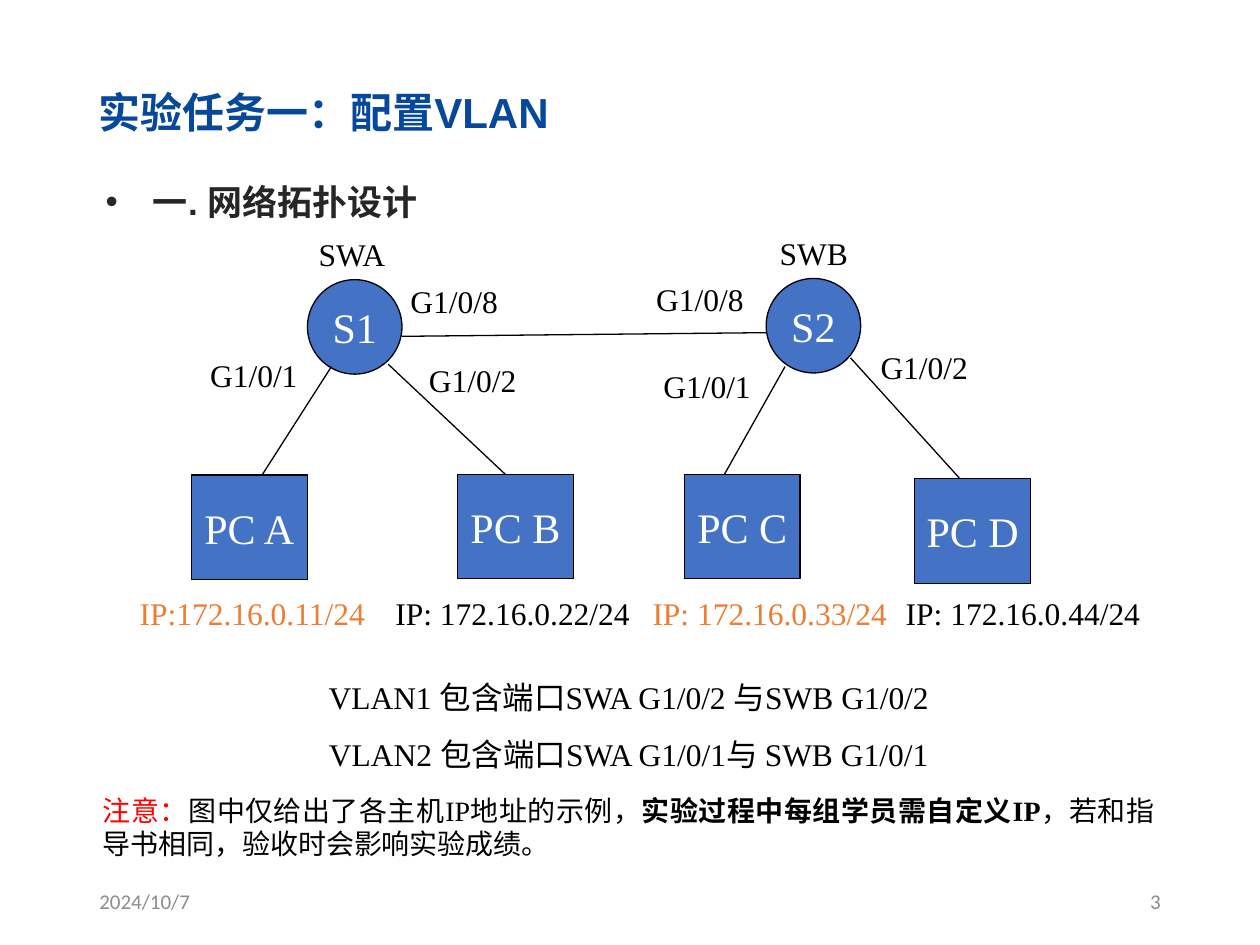
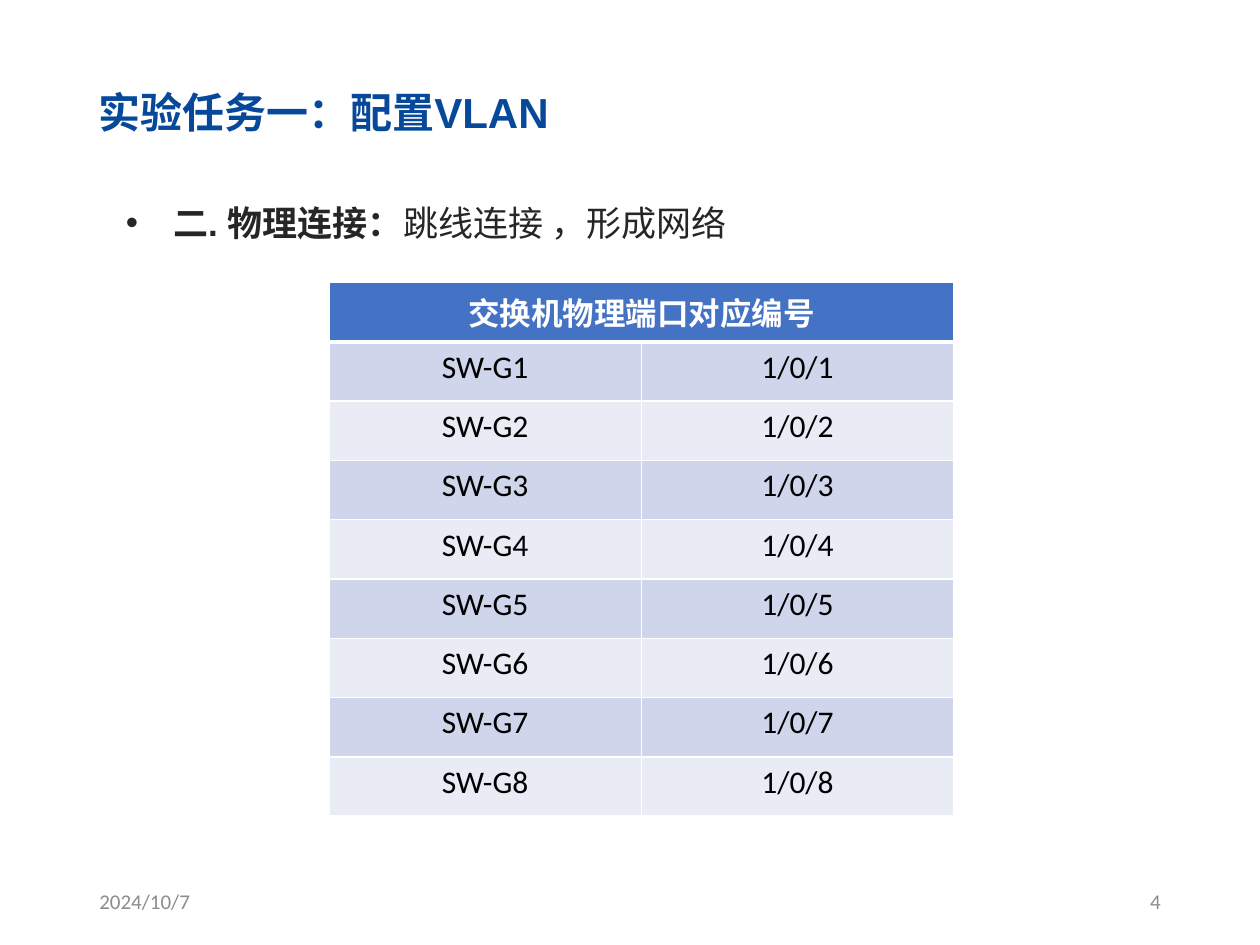
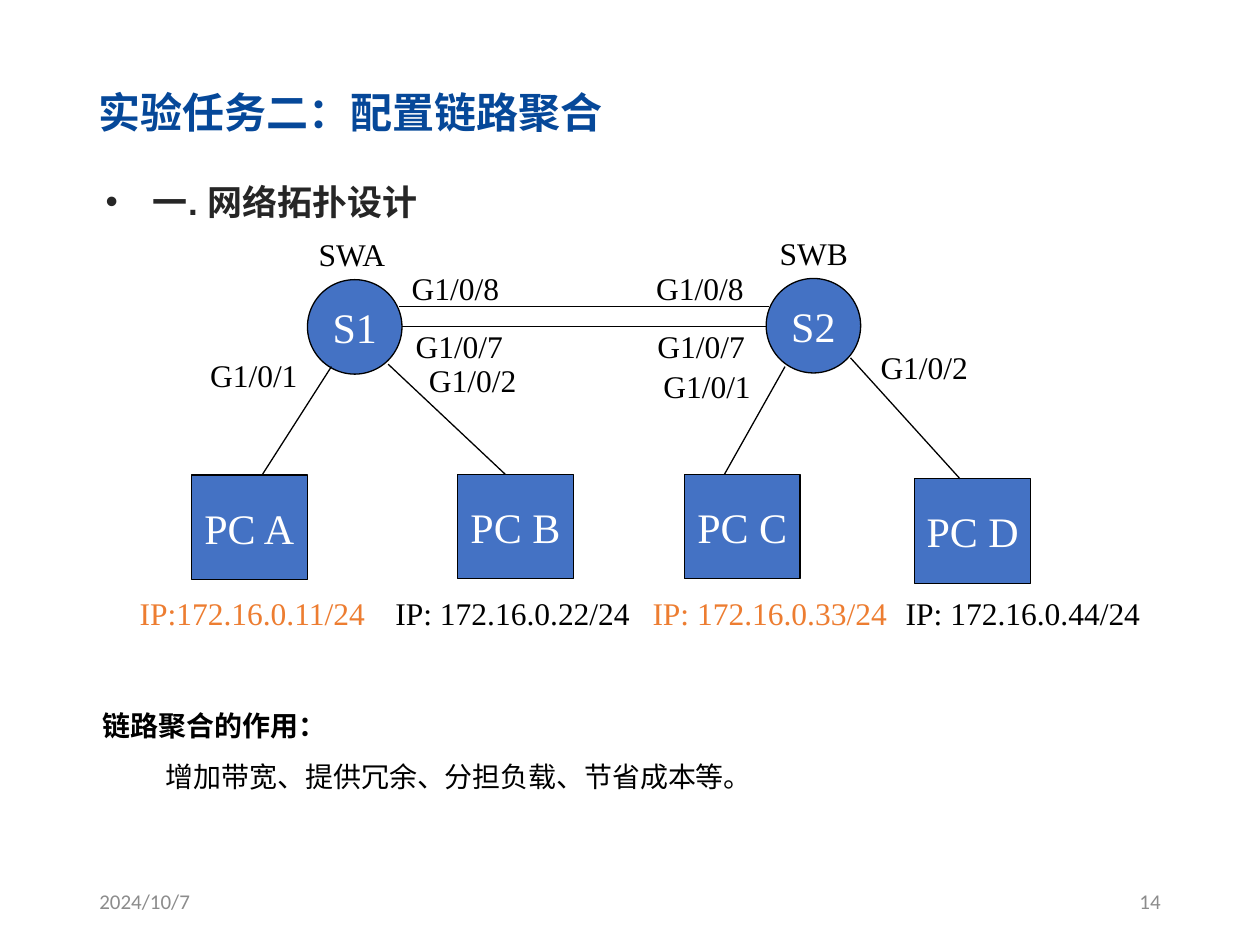
from dataclasses import dataclass

from lxml.etree import SubElement
from pptx import Presentation
from pptx.dml.color import RGBColor
from pptx.enum.shapes import MSO_CONNECTOR, MSO_SHAPE
from pptx.enum.text import MSO_ANCHOR, MSO_AUTO_SIZE, PP_ALIGN
from pptx.oxml.ns import qn
from pptx.util import Pt


@dataclass(frozen=True)
class Theme:
    title: str = "064899"
    heading: str = "262626"
    text: str = "000000"
    footer: str = "8C8C8C"
    accent: str = "4472C4"
    highlight: str = "ED7D31"
    warning: str = "FF0000"
    white: str = "FFFFFF"
    bands: tuple = ("CFD5EA", "E9EBF5")
    sans: str = "Arial"
    serif: str = "Times New Roman"
    plain: str = "Calibri"
    title_size: int = 24
    heading_size: int = 20
    label_size: int = 18
    note_size: int = 16
    footer_size: int = 12


THEME = Theme()
DATE = "2024/10/7"
VLAN_TITLE = "实验任务一：配置VLAN"
TOPOLOGY_HEADING = "一. 网络拓扑设计"

SWITCHES = [("S1", 175.7, 159.8), ("S2", 437.8, 159.1)]
SWITCH_SIZE = (54, 54)
COMPUTERS = [
    ("PC A", 109.4, 271.4),
    ("PC B", 261.4, 271),
    ("PC C", 391, 271),
    ("PC D", 522.7, 273.6),
]
COMPUTER_SIZE = (66.2, 59.8)
ADDRESSES = [
    ("IP:172.16.0.11/24", 72.7, THEME.highlight),
    ("IP: 172.16.0.22/24", 218.9, THEME.text),
    ("IP: 172.16.0.33/24", 365.8, THEME.highlight),
    ("IP: 172.16.0.44/24", 510.5, THEME.text),
]
ADDRESS_TOP = 335.8
ACCESS_LINKS = [
    (149.8, 271.4, 189.4, 209.5),
    (288.7, 271, 221.8, 208.1),
    (448.6, 209.5, 414, 271),
    (548.6, 273.6, 486, 204.5),
]
COMMON_LABELS = [
    ("SWA", 175, 131),
    ("SWB", 438.5, 130.3),
    ("G1/0/1", 113, 200),
    ("G1/0/2", 238, 203),
    ("G1/0/1", 372, 206),
    ("G1/0/2", 496.1, 195.6),
]


def color(value):
    return RGBColor.from_string(value)


def style_font(font, name, size, value, bold=False):
    font.name = name
    font.size = Pt(size)
    font.color.rgb = color(value)
    font.bold = bold


def add_span(para, text, name, size, value, bold=False):
    span = para.add_run()
    span.text = text
    style_font(span.font, name, size, value, bold)


def add_box(page, left, top, width, height, anchor=MSO_ANCHOR.TOP):
    box = page.shapes.add_textbox(Pt(left), Pt(top), Pt(width), Pt(height))
    frame = box.text_frame
    frame.word_wrap = True
    frame.vertical_anchor = anchor
    return frame


def add_title(page, text):
    title = page.shapes.title
    title.left, title.top, title.width, title.height = Pt(49), Pt(46), Pt(613), Pt(36)
    frame = title.text_frame
    frame.text = text
    frame.auto_size = MSO_AUTO_SIZE.NONE
    frame.vertical_anchor = MSO_ANCHOR.MIDDLE
    para = frame.paragraphs[0]
    para.alignment = PP_ALIGN.LEFT
    style_font(para.runs[0].font, THEME.sans, THEME.title_size, THEME.title, True)


def add_footer(page, number):
    for text, left, align in ((DATE, 49.7, PP_ALIGN.LEFT), (number, 508.3, PP_ALIGN.RIGHT)):
        para = add_box(page, left, 500.4, 162, 28.8, MSO_ANCHOR.MIDDLE).paragraphs[0]
        para.alignment = align
        add_span(para, text, THEME.plain, THEME.footer_size, THEME.footer)


def new_page(deck, title, number):
    page = deck.slides.add_slide(deck.slide_layouts[5])
    add_title(page, title)
    add_footer(page, number)
    return page


def add_heading(page, left, top, bold_text, regular_text=""):
    para = add_box(page, left, top, 605, 39.6).paragraphs[0]
    para.line_spacing = 1.5
    props = para._p.get_or_add_pPr()
    props.set("marL", str(Pt(27)))
    props.set("indent", str(-Pt(27)))
    SubElement(props, qn("a:buFont"), typeface=THEME.sans)
    SubElement(props, qn("a:buChar"), char="•")
    for text, bold in ((bold_text, True), (regular_text, False)):
        if text:
            add_span(para, text, THEME.sans, THEME.heading_size, THEME.heading, bold)


def add_label(page, text, left, top, width=72, value=THEME.text):
    para = add_box(page, left, top, width, 28.8).paragraphs[0]
    add_span(para, text, THEME.serif, THEME.label_size, value)


def add_node(page, kind, text, left, top, size):
    node = page.shapes.add_shape(kind, Pt(left), Pt(top), *map(Pt, size))
    node.shadow.inherit = False
    node.fill.solid()
    node.fill.fore_color.rgb = color(THEME.accent)
    node.line.color.rgb = color(THEME.text)
    node.line.width = Pt(0.75)
    frame = node.text_frame
    frame.word_wrap = False
    frame.vertical_anchor = MSO_ANCHOR.MIDDLE
    para = frame.paragraphs[0]
    para.alignment = PP_ALIGN.CENTER
    add_span(para, text, THEME.serif, THEME.title_size, THEME.white)


def add_link(page, *ends):
    link = page.shapes.add_connector(MSO_CONNECTOR.STRAIGHT, *map(Pt, ends))
    link.line.color.rgb = color(THEME.text)
    link.line.width = Pt(0.75)
    SubElement(link._element.spPr, qn("a:effectLst"))


def add_topology(page, trunk_links, trunk_labels):
    """Draw the shared network with the given links and port names between switches."""
    for name, left, top in SWITCHES:
        add_node(page, MSO_SHAPE.OVAL, name, left, top, SWITCH_SIZE)
    for name, left, top in COMPUTERS:
        add_node(page, MSO_SHAPE.RECTANGLE, name, left, top, COMPUTER_SIZE)
    for ends in ACCESS_LINKS + trunk_links:
        add_link(page, *ends)
    for text, left, top in COMMON_LABELS + trunk_labels:
        add_label(page, text, left, top)
    for text, left, value in ADDRESSES:
        add_label(page, text, left, ADDRESS_TOP, 152, value)


def add_vlan_notes(page):
    frame = add_box(page, 51.8, 373, 615, 124)
    frame.text = (
        "VLAN1 包含端口SWA G1/0/2 与SWB G1/0/2\n"
        "VLAN2 包含端口SWA G1/0/1与 SWB G1/0/1"
    )
    for para in frame.paragraphs:
        para.alignment = PP_ALIGN.CENTER
        para.line_spacing = 1.5
        style_font(para.runs[0].font, THEME.serif, THEME.label_size, THEME.text)
    notice = frame.add_paragraph()
    notice.alignment = PP_ALIGN.JUSTIFY
    notice.space_before = Pt(12)
    for text, value, bold in (
        ("注意：", THEME.warning, False),
        ("图中仅给出了各主机IP地址的示例，", THEME.text, False),
        ("实验过程中每组学员需自定义IP", THEME.text, True),
        ("，若和指导书相同，验收时会影响实验成绩。", THEME.text, False),
    ):
        add_span(notice, text, THEME.serif, THEME.note_size, value, bold)


def add_aggregation_notes(page):
    frame = add_box(page, 51.8, 392, 615, 72)
    frame.text = "链路聚合的作用：\n增加带宽、提供冗余、分担负载、节省成本等。"
    heading, detail = frame.paragraphs
    detail._p.get_or_add_pPr().set("marL", str(Pt(36)))
    for para in (heading, detail):
        para.line_spacing = 1.5
        style_font(para.runs[0].font, THEME.serif, THEME.note_size, THEME.text, para is heading)


def set_borders(cell, top, bottom):
    props = cell._tc.get_or_add_tcPr()
    for side, width in (("L", 1), ("R", 1), ("T", top), ("B", bottom)):
        line = SubElement(props, qn(f"a:ln{side}"), w=str(Pt(width)))
        fill = SubElement(line, qn("a:solidFill"))
        SubElement(fill, qn("a:srgbClr"), val=THEME.white)


def add_port_table(page):
    rows = [("交换机物理端口对应编号", "")]
    rows += [(f"SW-G{port}", f"1/0/{port}") for port in range(1, 9)]
    table = page.shapes.add_table(
        len(rows), 2, Pt(188), Pt(161.5), Pt(357), Pt(305)
    ).table
    table.cell(0, 0).merge(table.cell(0, 1))
    for row, texts in enumerate(rows):
        is_header = row == 0
        fill = THEME.accent if is_header else THEME.bands[(row - 1) % 2]
        for column, text in enumerate(texts):
            cell = table.cell(row, column)
            set_borders(cell, 3 if row == 1 else 1, 3 if is_header else 1)
            cell.fill.solid()
            cell.fill.fore_color.rgb = color(fill)
            if text:
                para = cell.text_frame.paragraphs[0]
                para.alignment = PP_ALIGN.CENTER
                value = THEME.white if is_header else THEME.text
                add_span(para, text, THEME.plain, THEME.label_size, value, is_header)


def add_vlan_topology_page(deck):
    page = new_page(deck, VLAN_TITLE, "3")
    add_heading(page, 53.3, 87.4, TOPOLOGY_HEADING)
    add_topology(
        page,
        [(437.8, 190.1, 229.7, 192.2)],
        [("G1/0/8", 227.5, 157.7), ("G1/0/8", 367.9, 156.5)],
    )
    add_vlan_notes(page)


def add_wiring_page(deck):
    page = new_page(deck, VLAN_TITLE, "4")
    add_heading(page, 64.8, 99.4, "二. 物理连接：", "跳线连接 ，形成网络")
    add_port_table(page)


def add_aggregation_page(deck):
    page = new_page(deck, "实验任务二：配置链路聚合", "14")
    add_heading(page, 53.3, 87.4, TOPOLOGY_HEADING)
    add_topology(
        page,
        [(439.2, 175, 228.2, 175), (437.8, 186.5, 229.7, 186.5)],
        [
            ("G1/0/8", 228.2, 150),
            ("G1/0/8", 367.9, 150),
            ("G1/0/7", 230.4, 183.6),
            ("G1/0/7", 368.6, 183.6),
        ],
    )
    add_aggregation_notes(page)


def main():
    deck = Presentation()
    deck.slide_width, deck.slide_height = Pt(720), Pt(540)
    add_vlan_topology_page(deck)
    add_wiring_page(deck)
    add_aggregation_page(deck)
    deck.save("out.pptx")


if __name__ == "__main__":
    main()
